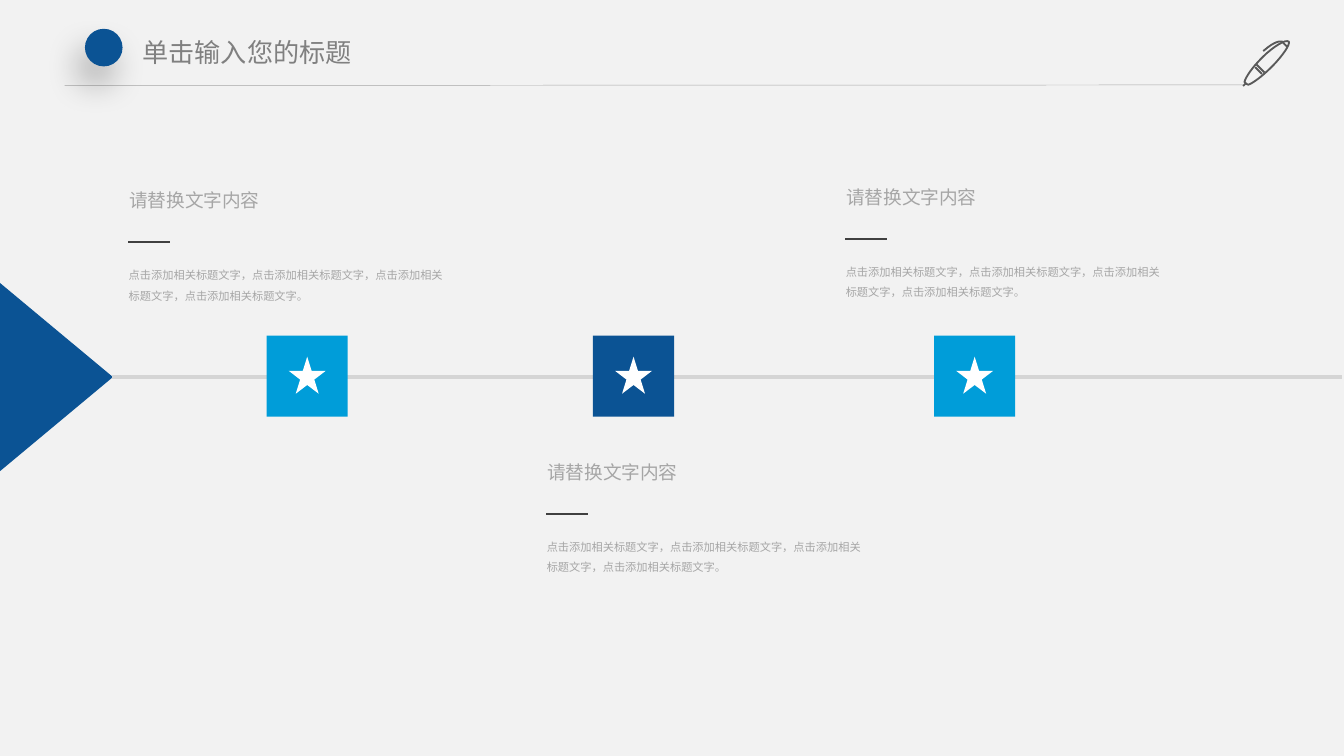
from lxml import etree
from pptx import Presentation
from pptx import util as u
from pptx.dml.color import RGBColor
from pptx.enum import shapes, text
from pptx.oxml import parse_xml
from pptx.oxml.ns import nsdecls, qn

CELL = u.Inches(0.1)
COLUMNS, ROWS = 100, 56.25
COLORS = {
    "background": "F2F2F2", "navy": "0B5394", "sky": "009DD9", "white": "FFFFFF",
    "title": "808080", "caption": "A6A6A6", "rule": "A6A6A6", "dash": "404040",
    "pen": "595959", "timeline": "D5D5D5", "shadow": "000000",
}
EAST_ASIAN_FONT = "Noto Sans CJK SC"
TITLE = "单击输入您的标题"
HEADING = "请替换文字内容"
BODY = "点击添加相关标题文字，" * 3 + "点击添加相关标题文字。"
AXIS = 28.06
MARKERS = [(19.84, "sky"), (44.12, "navy"), (69.5, "sky")]
CAPTIONS = [(8.6, 13.6), (39.7, 33.83), (61.95, 13.35)]
PEN_STROKES = [
    [(93.9, 5.5), (93.4, 5)],
    [(93.5, 4.8), (94.1, 5.4)],
    [(92.7, 6.2), (92.5, 6.4)],
]
PEN_CURVES = [
    [(95.9, 3.1), (95.7, 2.9), (94.8, 3.4), (93.9, 4.3),
     (93.2, 5), (92.7, 5.7), (92.6, 6.1),
     (92.7, 6.2), (92.8, 6.3), (92.9, 6.3),
     (93.2, 6.2), (93.9, 5.7), (94.6, 5),
     (95.5, 4.1), (96, 3.3), (95.9, 3.1)],
    [(95.8, 3.5), (95.8, 3.5), (95.6, 3.3), (95.4, 3.1),
     (95.4, 3.1), (95, 2.9), (94, 3.8)],
]


def cells(*values):
    """Turn grid cells into slide lengths."""
    return [u.Emu(round(value * CELL)) for value in values]


def color(name):
    """Look up a named colour."""
    return RGBColor.from_string(COLORS[name])


def add_block(slide, kind, box, fill, rotation=0):
    """Add a plain filled shape."""
    shape = slide.shapes.add_shape(kind, *cells(*box))
    shape.shadow.inherit = False
    shape.fill.solid()
    shape.fill.fore_color.rgb = color(fill)
    shape.line.fill.background()
    shape.rotation = rotation
    return shape


def add_line(slide, start, end, stroke, width):
    """Add a straight line without a shadow."""
    line = slide.shapes.add_connector(
        shapes.MSO_CONNECTOR.STRAIGHT, *cells(*start, *end))
    line.line.color.rgb = color(stroke)
    line.line.width = u.Pt(width)
    etree.SubElement(line._element.spPr, qn("a:effectLst"))


def add_text(slide, box, words, size, font_name, ink, wrap=True, spacing=None):
    """Add a one-paragraph text box."""
    frame = slide.shapes.add_textbox(*cells(*box)).text_frame
    frame.word_wrap = wrap
    frame.auto_size = text.MSO_AUTO_SIZE.SHAPE_TO_FIT_TEXT
    frame.text = words
    paragraph = frame.paragraphs[0]
    paragraph.line_spacing = spacing
    run = paragraph.runs[0]
    run.font.size = u.Pt(size)
    run.font.name = font_name
    run.font.color.rgb = color(ink)
    east_asian = etree.SubElement(run._r.get_or_add_rPr(), qn("a:ea"))
    east_asian.set("typeface", EAST_ASIAN_FONT)
    return frame


def add_shadow(shape):
    """Give a shape a soft shadow to its lower left."""
    effects = shape._element.spPr.find(qn("a:effectLst"))
    effects.append(parse_xml(
        f'<a:outerShdw {nsdecls("a")} blurRad="{u.Pt(18)}" dist="{u.Pt(11)}" '
        f'dir="{113 * 60000}" algn="ctr" rotWithShape="0">'
        f'<a:srgbClr val="{COLORS["shadow"]}"><a:alpha val="27000"/></a:srgbClr>'
        '</a:outerShdw>'))


def trace_curve(points, steps=8):
    """Sample a chain of cubic curves as points."""
    traced = [points[0]]
    for first in range(0, len(points) - 1, 3):
        for step in range(1, steps + 1):
            t = step / steps
            weights = ((1 - t) ** 3, 3 * t * (1 - t) ** 2, 3 * t * t * (1 - t), t ** 3)
            corners = points[first:first + 4]
            traced.append(tuple(
                sum(w * p[axis] for w, p in zip(weights, corners)) for axis in (0, 1)))
    return traced


def add_pen(slide):
    """Draw the outlined pen."""
    builder = slide.shapes.build_freeform(*cells(*PEN_STROKES[0][0]))
    for stroke in PEN_STROKES + [trace_curve(curve) for curve in PEN_CURVES]:
        start, *others = [cells(*point) for point in stroke]
        builder.move_to(*start)
        builder.add_line_segments(others, close=False)
    pen = builder.convert_to_shape()
    pen.shadow.inherit = False
    pen.fill.background()
    pen.line.color.rgb = color("pen")
    pen.line.width = u.Pt(1)


def add_header(slide):
    """Add the rule, pen, title and dot."""
    add_line(slide, (4.8, 6.36), (92.5, 6.32), "rule", 0.25)
    add_pen(slide)
    frame = add_text(slide, (9.7, 2.34, 24.3, 3.2), TITLE, 14, EAST_ASIAN_FONT, "title")
    frame.margin_left = frame.margin_right = u.Inches(0.09)
    frame.margin_top = frame.margin_bottom = u.Inches(0.04)
    dot = add_block(slide, shapes.MSO_SHAPE.OVAL, (6.32, 2.14, 2.8, 2.8), "navy")
    add_shadow(dot)


def add_marker(slide, left, fill):
    """Add a square with a star on the timeline."""
    add_block(slide, shapes.MSO_SHAPE.RECTANGLE, (left, 24.97, 6.04, 6.04), fill)
    add_block(slide, shapes.MSO_SHAPE.STAR_5_POINT,
              (left + 1.64, 26.54, 2.76, 2.76), "white")


def add_caption(slide, left, top):
    """Add a heading, a dash and a body text."""
    add_text(slide, (left, top + 5.4, 25.4, 4), BODY, 6, "Arial", "caption", spacing=1.5)
    add_line(slide, (left + 0.93, top + 4.41), (left + 4.05, top + 4.41), "dash", 1)
    add_text(slide, (left + 0.04, top, 11.8, 2.7), HEADING, 10, "Lato", "caption", wrap=False)


def main():
    """Build and save the slide."""
    presentation = Presentation()
    presentation.slide_width, presentation.slide_height = cells(COLUMNS, ROWS)
    slide = presentation.slides.add_slide(presentation.slide_layouts[6])
    slide.background.fill.solid()
    slide.background.fill.fore_color.rgb = color("background")
    add_header(slide)
    add_block(slide, shapes.MSO_SHAPE.ISOSCELES_TRIANGLE,
              (-2.8, AXIS - 4.2, 14, 8.4), "navy", rotation=90)
    add_line(slide, (8.35, AXIS), (99.85, AXIS), "timeline", 2)
    for left, fill in MARKERS:
        add_marker(slide, left, fill)
    for left, top in CAPTIONS:
        add_caption(slide, left, top)
    presentation.save("out.pptx")


if __name__ == "__main__":
    main()
